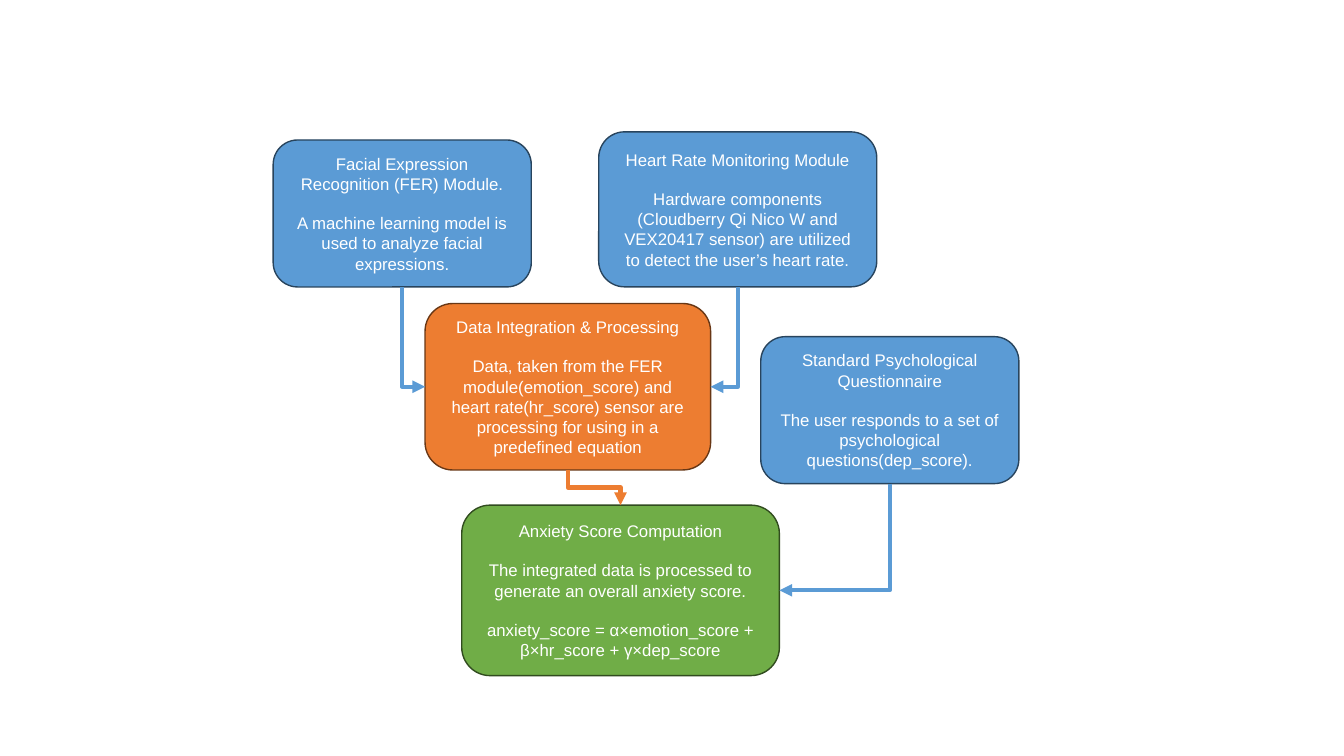
from lxml.etree import SubElement
from pptx import Presentation
from pptx.dml.color import RGBColor
from pptx.enum.shapes import MSO_CONNECTOR as Link, MSO_SHAPE as Shape
from pptx.enum.text import MSO_ANCHOR as Anchor, PP_ALIGN as Align
from pptx.oxml.ns import qn
from pptx.util import Pt

BLUE, NAVY = "5B9BD5", "28445D"
ORANGE, BROWN = "ED7D31", "683715"
GREEN, FOREST = "70AD47", "314C1F"
TOP, LEFT, BOTTOM, RIGHT = range(4)


def paint(color_format, color):
    color_format.rgb = RGBColor.from_string(color)


class Flowchart:
    font = "Arial"
    size = 12
    paragraph_gap = 13.8
    text_color = "FFFFFF"

    def __init__(self, slide):
        self.slide = slide

    def module(self, left, top, width, height, fill, outline, paragraphs):
        box = self.slide.shapes.add_shape(
            Shape.ROUNDED_RECTANGLE, Pt(left), Pt(top), Pt(width), Pt(height))
        box.shadow.inherit = False
        box.fill.solid()
        paint(box.fill.fore_color, fill)
        paint(box.line.color, outline)
        box.line.width = Pt(1)
        frame = box.text_frame
        frame.word_wrap = True
        frame.vertical_anchor = Anchor.MIDDLE
        for index, text in enumerate(paragraphs):
            paragraph = frame.add_paragraph() if index else frame.paragraphs[0]
            paragraph.alignment = Align.CENTER
            paragraph.space_before = Pt(self.paragraph_gap if index else 0)
            run = paragraph.add_run()
            run.text = text
            run.font.name = self.font
            run.font.size = Pt(self.size)
            paint(run.font.color, self.text_color)
        return box

    def flow(self, source, target, side, color):
        start_x, start_y = source.left + source.width // 2, source.top + source.height
        end_x, end_y = {
            TOP: (target.left + target.width // 2, target.top),
            LEFT: (target.left, target.top + target.height // 2),
            RIGHT: (target.left + target.width, target.top + target.height // 2),
        }[side]
        arrow = self.slide.shapes.add_connector(Link.ELBOW, start_x, start_y, end_x, end_y)
        arrow.begin_connect(source, BOTTOM)
        arrow.end_connect(target, side)

        run, drop = abs(end_x - start_x), end_y - start_y
        arrow.left = (start_x + end_x - drop) // 2
        arrow.top = (start_y + end_y - run) // 2
        arrow.width, arrow.height = drop, run
        properties = arrow.element.spPr
        transform = properties.find(qn("a:xfrm"))
        rightward = end_x > start_x
        transform.set("rot", str((270 if rightward else 90) * 60000))
        transform.set("flipH", "1" if rightward else "0")
        transform.set("flipV", "0")
        bends = "bentConnector3" if side == TOP else "bentConnector2"
        properties.find(qn("a:prstGeom")).set("prst", bends)

        paint(arrow.line.color, color)
        arrow.line.width = Pt(3)
        SubElement(properties.find(qn("a:ln")), qn("a:tailEnd"), type="triangle")
        SubElement(properties, qn("a:effectLst"))


def main():
    deck = Presentation()
    deck.slide_width, deck.slide_height = Pt(960), Pt(540)
    chart = Flowchart(deck.slides.add_slide(deck.slide_layouts[6]))

    expression = chart.module(195.1, 100, 184.4, 105, BLUE, NAVY, [
        "Facial Expression Recognition (FER) Module.",
        "A machine learning model is used to analyze facial expressions."])
    heart_rate = chart.module(427.7, 94.2, 198.6, 110.7, BLUE, NAVY, [
        "Heart Rate Monitoring Module",
        "Hardware components (Cloudberry Qi Nico W and VEX20417 sensor) "
        "are utilized to detect the user’s heart rate."])
    integration = chart.module(303.6, 216.8, 204, 118.9, ORANGE, BROWN, [
        "Data Integration & Processing",
        "Data, taken from the FER module(emotion_score) and heart rate(hr_score) "
        "sensor are processing for using in a predefined equation"])
    questionnaire = chart.module(543.4, 240.5, 184.4, 105, BLUE, NAVY, [
        "Standard Psychological Questionnaire",
        "The user responds to a set of psychological questions(dep_score)."])
    anxiety = chart.module(329.8, 360.8, 226.9, 121.8, GREEN, FOREST, [
        "Anxiety Score Computation",
        "The integrated data is processed to generate an overall anxiety score.",
        "anxiety_score = α×emotion_score + β×hr_score + γ×dep_score"])

    chart.flow(expression, integration, LEFT, BLUE)
    chart.flow(heart_rate, integration, RIGHT, BLUE)
    chart.flow(integration, anxiety, TOP, ORANGE)
    chart.flow(questionnaire, anxiety, RIGHT, BLUE)

    deck.save("out.pptx")


if __name__ == "__main__":
    main()
